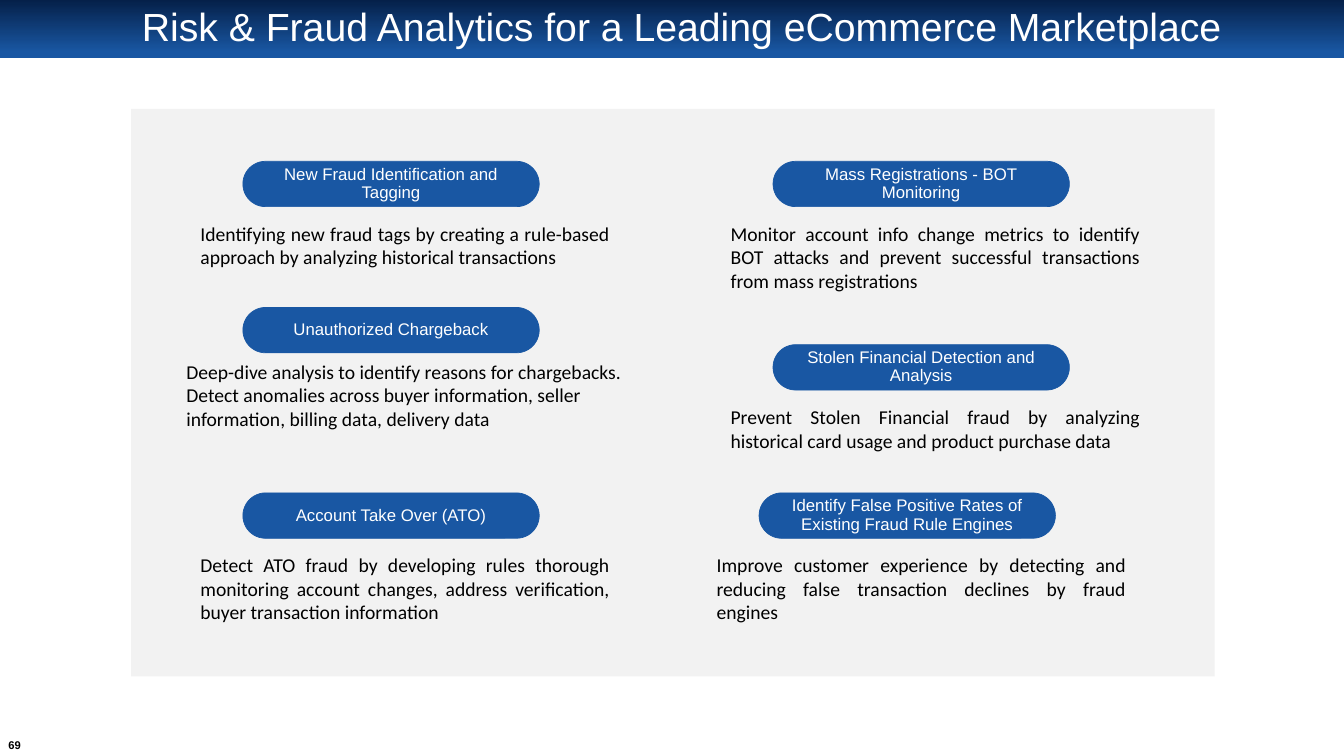
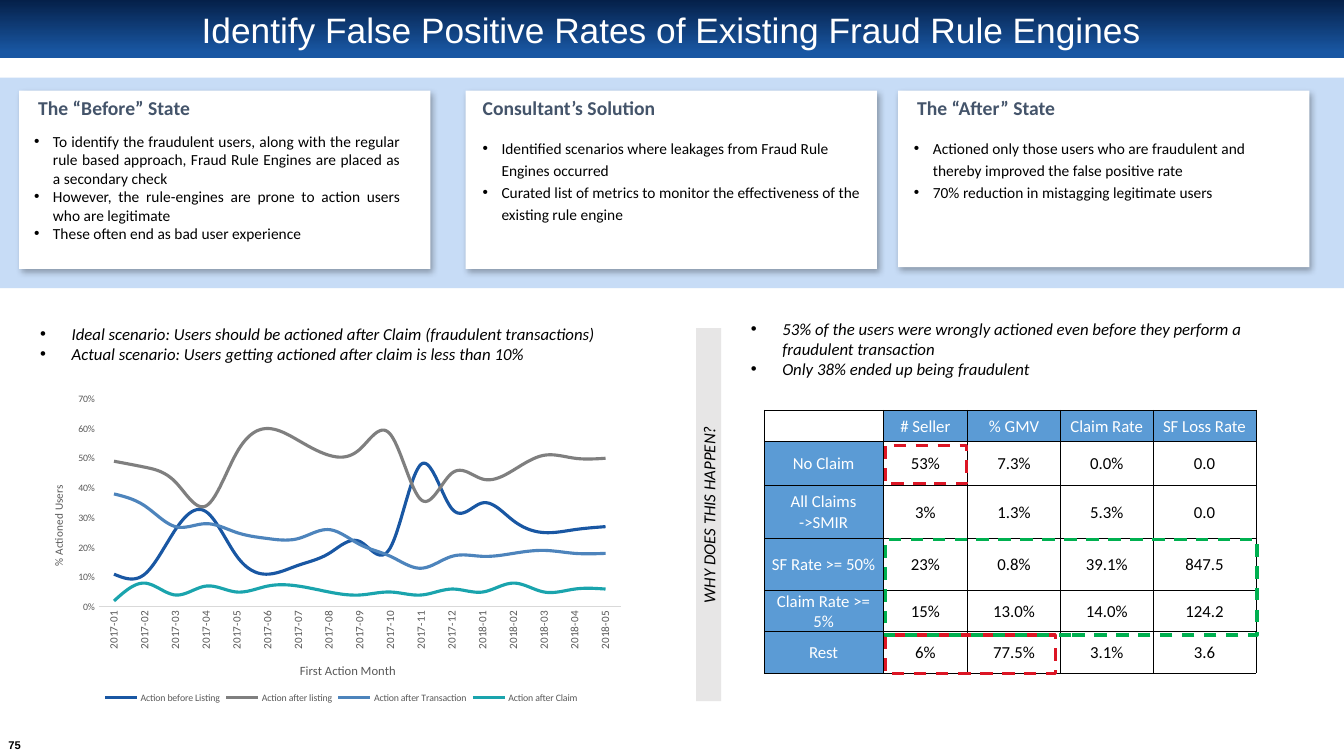
import dataclasses
import pptx
import pptx.chart.data
import pptx.dml.color
import pptx.enum.chart
import pptx.enum.dml
import pptx.enum.shapes
import pptx.enum.text
import pptx.oxml
import pptx.oxml.ns
import pptx.util

Pt = pptx.util.Pt
qn = pptx.oxml.ns.qn
SHAPE = pptx.enum.shapes.MSO_SHAPE
ALIGN = pptx.enum.text.PP_ALIGN
ANCHOR = pptx.enum.text.MSO_ANCHOR


@dataclasses.dataclass(frozen=True)
class Theme:
    navy: str = "052049"
    blue: str = "1957A3"
    white: str = "FFFFFF"
    black: str = "000000"
    panel: str = "F2F2F2"
    band: str = "C7DCF6"
    heading: str = "44546A"
    strip: str = "E7E6E6"
    cell: str = "5B9BD5"
    axis_text: str = "595959"
    axis_line: str = "D9D9D9"
    red: str = "DC1625"
    green: str = "00B050"
    series: tuple = ("1957A3", "7F7F7F", "4D84BC", "1AA4AD")
    display: str = "Arial"
    body: str = "Calibri"
    title_size: float = 28
    small_title_size: float = 25.2
    body_size: float = 14
    label_size: float = 12
    bullet_size: float = 11
    page_size: float = 8
    axis_title_size: float = 9
    tick_size: float = 8
    fine_size: float = 7


T = Theme()


def rgb(color):
    return pptx.dml.color.RGBColor.from_string(color)


def xml(tag, inner="", attrs=""):
    prefix = tag.split(":")[0]
    ns = pptx.oxml.ns.nsdecls(prefix)
    return pptx.oxml.parse_xml(f"<{tag} {ns} {attrs}>{inner}</{tag}>")


def set_font(font, size, color, name=T.body, bold=False, italic=False):
    font.size, font.name, font.bold, font.italic = Pt(size), name, bold, italic
    font.color.rgb = rgb(color)


def write(tf, text, size=T.body_size, color=T.black, name=T.body, bold=False, italic=False,
          align=ALIGN.LEFT, anchor=ANCHOR.TOP, spacing=None, indent=0, wrap=True, margin=None):
    tf.word_wrap, tf.vertical_anchor = wrap, anchor
    if margin is not None:
        tf.margin_left = tf.margin_right = tf.margin_top = tf.margin_bottom = Pt(margin)
    lines = [text] if isinstance(text, str) else text
    for i, line in enumerate(lines):
        p = tf.paragraphs[0] if i == 0 else tf.add_paragraph()
        p.alignment = align
        if spacing:
            p.line_spacing = spacing
        if indent:
            pPr = p._p.get_or_add_pPr()
            pPr.set("marL", str(Pt(indent)))
            pPr.set("indent", str(-Pt(indent)))
            pPr.append(xml("a:buFont", attrs='typeface="Arial"'))
            pPr.append(xml("a:buChar", attrs='char="•"'))
        r = p.add_run()
        r.text = line
        set_font(r.font, size, color, name, bold, italic)


def add_text(s, box, text, **fmt):
    sp = s.shapes.add_textbox(*map(Pt, box))
    write(sp.text_frame, text, **fmt)


def add_box(s, box, fill=None, line=None, width=0.5, kind=SHAPE.RECTANGLE):
    sp = s.shapes.add_shape(kind, *map(Pt, box))
    sp.shadow.inherit = False
    if fill:
        sp.fill.solid()
        sp.fill.fore_color.rgb = rgb(fill)
    else:
        sp.fill.background()
    if line:
        sp.line.color.rgb = rgb(line)
        sp.line.width = Pt(width)
    else:
        sp.line.fill.background()
    return sp


def add_slide(prs, title, box, size, number):
    s = prs.slides.add_slide(prs.slide_layouts[6])
    fill = add_box(s, (0, 0, 960, 41.6), T.blue).fill
    fill.gradient()
    fill.gradient_angle = 270
    for stop, color, position in zip(fill.gradient_stops, (T.navy, T.blue), (0, 0.9)):
        stop.color.rgb, stop.position = rgb(color), position
    add_text(s, box, title, size=size, color=T.white, name=T.display,
             align=ALIGN.CENTER, anchor=ANCHOR.MIDDLE, spacing=0.9)
    add_text(s, (1.4, 525.6, 18, 13.7), number, size=T.page_size, name=T.display, bold=True,
             align=ALIGN.CENTER, anchor=ANCHOR.MIDDLE, wrap=False, margin=0)
    return s


def add_topic(s, x, y, label, text, dx=-37.4, dy=39.6, w=306.7, align=ALIGN.JUSTIFY):
    sp = add_box(s, (x, y, 211.7, 32.4), T.blue, T.blue, kind=SHAPE.ROUNDED_RECTANGLE)
    sp.adjustments[0] = 0.5
    write(sp.text_frame, label, size=T.label_size, color=T.white, name=T.display,
          align=ALIGN.CENTER, anchor=ANCHOR.MIDDLE, spacing=0.9)
    add_text(s, (x + dx, y + dy, w, 58), text, align=align)


def add_card(s, x, h, heading, heading_x, lines, body, **fmt):
    sp = add_box(s, (x, 64.8, 293.8, h), T.white)
    color = f'<a:srgbClr val="{T.black}"><a:alpha val="30000"/></a:srgbClr>'
    attrs = f'blurRad="{Pt(4.5)}" dist="{Pt(2.6)}" dir="{53 * 60000}" algn="tl" rotWithShape="0"'
    sp._element.spPr.find(qn("a:effectLst")).append(xml("a:outerShdw", color, attrs))
    add_text(s, (heading_x, 64.8, 199.4, 24.5), heading, color=T.heading, bold=True)
    add_text(s, body, lines, size=T.bullet_size, indent=13.5, **fmt)


def place(parent, index, **values):
    for old in parent.findall(qn("c:layout")):
        parent.remove(old)
    parts = "".join(f'<c:{k} val="{v}"/>' for k, v in values.items())
    parent.insert(index, xml("c:layout", f"<c:manualLayout>{parts}</c:manualLayout>"))


def style_axis(axis, title, title_size, tick_size, x, y):
    axis.has_major_gridlines = False
    axis.major_tick_mark = axis.minor_tick_mark = pptx.enum.chart.XL_TICK_MARK.NONE
    set_font(axis.tick_labels.font, tick_size, T.axis_text)
    p = axis.axis_title.text_frame.paragraphs[0]
    r = p.add_run()
    r.text = title
    set_font(r.font, title_size, T.axis_text)
    place(axis.axis_title._element, 1, xMode="edge", yMode="edge", x=x, y=y)


def add_line_chart(s, box, cats, series):
    data = pptx.chart.data.CategoryChartData(number_format="0%")
    data.categories = cats
    for name, percents in series:
        data.add_series(name, [v / 100 for v in percents])
    chart = s.shapes.add_chart(pptx.enum.chart.XL_CHART_TYPE.LINE, *map(Pt, box), data).chart
    set_font(chart.font, 10, T.black)
    chart.has_title = False
    chart.has_legend = True
    chart.legend.position = pptx.enum.chart.XL_LEGEND_POSITION.BOTTOM
    chart.legend.include_in_layout = False
    set_font(chart.legend.font, T.fine_size, T.axis_text)
    plot = chart.plots[0]
    plot.vary_by_categories = False
    for line, color in zip(plot.series, T.series):
        line.smooth = True
        line.marker.style = pptx.enum.chart.XL_MARKER_STYLE.NONE
        line.format.line.color.rgb = rgb(color)
        line.format.line.width = Pt(2.25)
    cat, val = chart.category_axis, chart.value_axis
    style_axis(cat, "First Action Month", T.axis_title_size, T.tick_size, 0.43, 0.86)
    cat.format.line.color.rgb = rgb(T.axis_line)
    cat.format.line.width = Pt(0.75)
    cat._element.find(qn("c:txPr")).find(qn("a:bodyPr")).set("rot", "-5400000")
    style_axis(val, "% Actioned Users", T.tick_size, T.fine_size, 0.03, 0.33)
    val.format.line.fill.background()
    val.minimum_scale, val.maximum_scale, val.major_unit = 0, 0.7, 0.1
    val.tick_labels.number_format = "0%"
    val.tick_labels.number_format_is_linked = False
    place(chart._chartSpace.chart.plotArea, 0, layoutTarget="inner", xMode="edge", yMode="edge",
          x=0.11, y=0.08, w=0.84, h=0.62)


def add_grid(s, x, y, widths, heights, rows):
    size = map(Pt, (x, y, sum(widths), sum(heights)))
    table = s.shapes.add_table(len(rows), len(widths), *size).table
    table.first_row = table.horz_banding = False
    for col, w in zip(table.columns, widths):
        col.width = Pt(w)
    for row, h in zip(table.rows, heights):
        row.height = Pt(h)
    line = f'<a:solidFill><a:srgbClr val="{T.black}"/></a:solidFill>'
    for i, texts in enumerate(rows):
        for j, text in enumerate(texts):
            cell = table.cell(i, j)
            cell.margin_left = cell.margin_right = cell.margin_top = Pt(0.7)
            cell.margin_bottom = 0
            cell.vertical_anchor = ANCHOR.MIDDLE
            for side in "LRTB":
                cell._tc.get_or_add_tcPr().append(xml(f"a:ln{side}", line, f'w="{Pt(0.5)}"'))
            header = i == 0 or j == 0
            if header and text:
                cell.fill.solid()
                cell.fill.fore_color.rgb = rgb(T.cell)
            else:
                cell.fill.background()
            if text:
                p = cell.text_frame.paragraphs[0]
                p.alignment = ALIGN.CENTER
                r = p.add_run()
                r.text = text
                set_font(r.font, T.label_size, T.white if header else T.black)


def build_overview(prs):
    s = add_slide(prs, "Risk & Fraud Analytics for a Leading eCommerce Marketplace",
                  (27.4, 4.3, 918.7, 32.4), T.title_size, "69")
    add_box(s, (93.6, 77.8, 774, 405.4), T.panel)
    left, right, top, bottom = 173.5, 552.2, 115.2, 352.1
    add_topic(s, left, top, "New Fraud Identification and Tagging",
              "Identifying new fraud tags by creating a rule-based approach by analyzing historical transactions")
    add_topic(s, left, 219.6, "Unauthorized Chargeback",
              "Deep-dive analysis to identify reasons for chargebacks. Detect anomalies across buyer "
              "information, seller information, billing data, delivery data",
              dx=-47.5, dy=33.8, w=327.6, align=ALIGN.LEFT)
    add_topic(s, left, bottom, "Account Take Over (ATO)",
              "Detect ATO fraud by developing rules thorough monitoring account changes, "
              "address verification, buyer transaction information")
    add_topic(s, right, top, "Mass Registrations - BOT Monitoring",
              "Monitor account info change metrics to identify BOT attacks and prevent "
              "successful transactions from mass registrations")
    add_topic(s, right, 246.2, "Stolen Financial Detection and Analysis",
              "Prevent Stolen Financial fraud by analyzing historical card usage and product purchase data")
    add_topic(s, right - 10, bottom, "Identify False Positive Rates of Existing Fraud Rule Engines",
              "Improve customer experience by detecting and reducing false transaction declines by fraud engines")


def build_false_positives(prs):
    s = add_slide(prs, "Identify False Positive Rates of Existing Fraud Rule Engines",
                  (49, 6.5, 861.1, 32.4), T.small_title_size, "75")
    add_box(s, (0, 55.4, 960, 150.5), T.band)
    add_card(s, 13.7, 127.4, "The “Before” State", 20.2, [
        "To identify the fraudulent users, along with the regular rule based approach, "
        "Fraud Rule Engines are placed as a secondary check",
        "However, the rule-engines are prone to action users who are legitimate",
        "These often end as bad user experience"], (17.3, 90.7, 275.8, 87.1), align=ALIGN.JUSTIFY)
    add_card(s, 332.6, 127.4, "Consultant’s Solution", 337.7, [
        "Identified scenarios where leakages from Fraud Rule Engines occurred",
        "Curated list of metrics to monitor the effectiveness of the existing rule engine"],
        (337.7, 92.9, 285.1, 69.8), spacing=1.2)
    add_card(s, 641.5, 126, "The “After” State", 648, [
        "Actioned only those users who are fraudulent and thereby improved the false positive rate",
        "70% reduction in mistagging legitimate users"], (645.8, 92.9, 285.1, 69.8), spacing=1.2)

    months = [f"2017-{m:02}" for m in range(1, 13)] + [f"2018-{m:02}" for m in range(1, 6)]
    add_line_chart(s, (21.6, 265.7, 444.2, 239.8), months, [
        ("Action before Listing", (11, 11, 26, 32, 17, 11, 14, 18, 22, 20, 48, 33, 35, 29, 25, 26, 27)),
        ("Action after listing", (49, 47, 42, 34, 52, 60, 56, 51, 53, 58, 36, 45, 43, 46, 51, 50, 50)),
        ("Action after Transaction", (38, 34, 27, 28, 25, 23, 23, 26, 21, 17, 13, 17, 17, 18, 19, 18, 18)),
        ("Action after Claim", (2, 8, 4, 7, 5, 7, 7, 5, 4, 5, 4, 6, 5, 8, 5, 6, 6))])
    finding = dict(size=T.label_size, italic=True, indent=22.5)
    add_text(s, (21.6, 227.5, 444.2, 36), [
        "Ideal scenario: Users should be actioned after Claim (fraudulent transactions)",
        "Actual scenario: Users getting actioned after claim is less than 10%"], **finding)
    add_text(s, (529.2, 223.9, 401.8, 51.1), [
        "53% of the users were wrongly actioned even before they perform a fraudulent transaction",
        "Only 38% ended up being fraudulent"], **finding)
    strip = add_box(s, (373, 358.6, 266.4, 18), T.strip)
    strip.rotation = 270
    write(strip.text_frame, "WHY DOES THIS HAPPEN?", size=T.label_size, italic=True,
          align=ALIGN.CENTER, anchor=ANCHOR.MIDDLE)

    add_grid(s, 545.8, 293, (85, 60.5, 66.2, 66.2, 73.4), (22.3, 31.7, 37.4, 37.4, 29.5, 29.5), [
        ("", "# Seller", "% GMV", "Claim Rate", "SF Loss Rate"),
        ("No Claim", "53%", "7.3%", "0.0%", "0.0"),
        ("All Claims ->SMIR", "3%", "1.3%", "5.3%", "0.0"),
        ("SF Rate >= 50%", "23%", "0.8%", "39.1%", "847.5"),
        ("Claim Rate >= 5%", "15%", "13.0%", "14.0%", "124.2"),
        ("Rest", "6%", "77.5%", "3.1%", "3.6")])
    for y, w, h, color in ((453.6, 121.7, 27.4, T.red), (318.2, 58.3, 27.4, T.red),
                           (385.2, 265.7, 68.4, T.green)):
        sp = add_box(s, (632.2, y, w, h), line=color, width=2.25)
        sp.line.dash_style = pptx.enum.dml.MSO_LINE.DASH


def main():
    prs = pptx.Presentation()
    prs.slide_width, prs.slide_height = Pt(960), Pt(540)
    build_overview(prs)
    build_false_positives(prs)
    prs.save("out.pptx")


if __name__ == "__main__":
    main()
